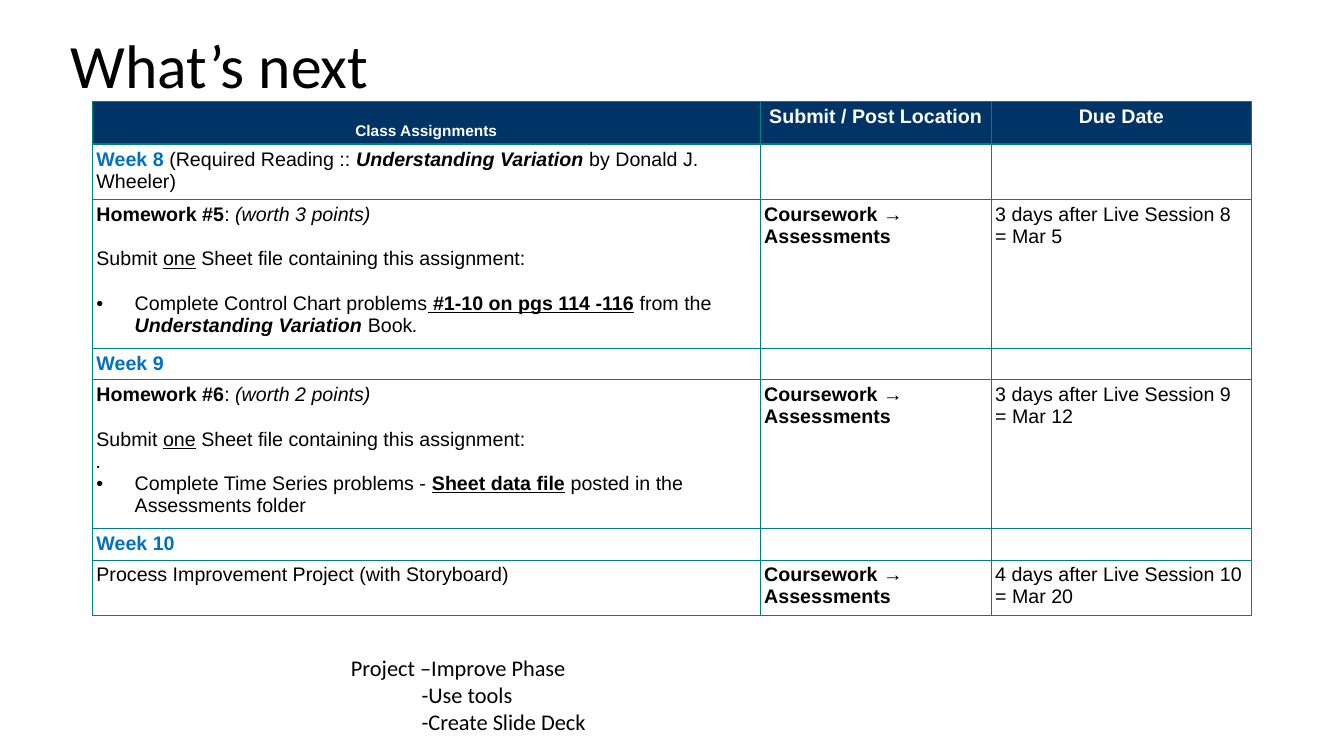
from lxml.etree import SubElement
from pptx import Presentation
from pptx.dml.color import RGBColor
from pptx.enum.text import MSO_ANCHOR, PP_ALIGN
from pptx.oxml.ns import qn
from pptx.util import Inches, Pt

BLACK = RGBColor(0x00, 0x00, 0x00)
WHITE = RGBColor(0xFF, 0xFF, 0xFF)
NAVY = RGBColor(0x00, 0x33, 0x66)
BLUE = RGBColor(0x00, 0x70, 0xC0)
TEAL = RGBColor(0x00, 0x80, 0x80)

GRID_COLUMNS, GRID_ROWS = 160, 90
TABLE_LEFT = 11
TABLE_COLUMNS = (79.5, 27.5, 31)
HEADING = {"bold": True, "color": WHITE}
WEEK = {"bold": True, "color": BLUE}
BOLD = {"bold": True}
ITALIC = {"italic": True}
UNDERLINE = {"underline": True}
TITLE = BOLD | ITALIC
KEY = BOLD | UNDERLINE
GAP = {"space_before": Pt(16)}
CENTER = {"alignment": PP_ALIGN.CENTER}
BULLET = {"left": 0.38, "hang": -0.38, "bullet": "•"}


class SlideBuilder:
    def __init__(self, prs, font, size):
        self.slide = prs.slides.add_slide(prs.slide_layouts[6])
        self.column = prs.slide_width / GRID_COLUMNS
        self.row = prs.slide_height / GRID_ROWS
        self.font = font
        self.size = size

    def box(self, left, top, width, height):
        return (round(left * self.column), round(top * self.row),
                round(width * self.column), round(height * self.row))

    def paragraph(self, p, runs, layout, base):
        layout = dict(layout)
        left, hang = layout.pop("left", 0), layout.pop("hang", 0)
        bullet = layout.pop("bullet", None)
        for name, value in layout.items():
            setattr(p, name, value)
        if left:
            pPr = p._p.get_or_add_pPr()
            pPr.set("marL", str(Inches(left)))
            pPr.set("indent", str(Inches(hang)))
            if bullet:
                SubElement(pPr, qn("a:buFont")).set("typeface", "Arial")
                SubElement(pPr, qn("a:buChar")).set("char", bullet)
        for text, style in runs:
            r = p.add_run()
            r.text = text
            values = base | style
            r.font.color.rgb = values.pop("color", BLACK)
            for name, value in values.items():
                setattr(r.font, name, value)

    def paragraphs(self, tf, content, base):
        for i, (runs, layout) in enumerate(content):
            p = tf.add_paragraph() if i else tf.paragraphs[0]
            self.paragraph(p, runs, layout, base)

    def text(self, area, content, size, anchor=MSO_ANCHOR.TOP):
        tf = self.slide.shapes.add_textbox(*self.box(*area)).text_frame
        tf.word_wrap = True
        tf.vertical_anchor = anchor
        self.paragraphs(tf, content, {"name": "Calibri", "size": Pt(size)})

    def cell(self, cell, content, fill):
        for side in ("left", "top", "right", "bottom"):
            setattr(cell, f"margin_{side}", Inches(0.04))
        tcPr = cell._tc.get_or_add_tcPr()
        for edge in ("lnL", "lnR", "lnT", "lnB"):
            ln = SubElement(tcPr, qn(f"a:{edge}"), w=str(Pt(1)))
            color = SubElement(SubElement(ln, qn("a:solidFill")), qn("a:srgbClr"))
            color.set("val", str(TEAL))
        if fill is None:
            cell.fill.background()
        else:
            cell.fill.solid()
            cell.fill.fore_color.rgb = fill
        if content:
            base = {"name": self.font, "size": Pt(self.size)}
            self.paragraphs(cell.text_frame, content, base)
        else:
            p = cell.text_frame.paragraphs[0]
            SubElement(p._p, qn("a:endParaRPr"), sz=str(self.size * 100))

    def table(self, top, heights, rows, fill=None):
        area = self.box(TABLE_LEFT, top, sum(TABLE_COLUMNS), sum(heights))
        table = self.slide.shapes.add_table(len(rows), len(TABLE_COLUMNS), *area).table
        table.first_row = table.horz_banding = False
        for column, width in zip(table.columns, TABLE_COLUMNS):
            column.width = round(width * self.column)
        for i, (row, height) in enumerate(zip(rows, heights)):
            table.rows[i].height = round(height * self.row)
            for j, content in enumerate(row):
                self.cell(table.cell(i, j), content, fill)
        return table


def line(text, style={}, layout={}):
    return [([(text, style)], layout)]


def week(number, *extra):
    return [[([(f"Week {number}", WEEK), *extra], {})], None, None]


def task(content, due):
    return [content, line("Coursework → Assessments", BOLD), line(due)]


def homework(number, points, *rest):
    return [
        ([(f"Homework #{number}", BOLD), (": ", {}), (f"(worth {points} points)", ITALIC)], {}),
        ([("Submit ", {}), ("one", UNDERLINE),
          (" Sheet file containing this assignment:", {})], GAP),
        *rest,
    ]


def main():
    prs = Presentation()
    prs.slide_width, prs.slide_height = Inches(13.33), Inches(7.5)
    s = SlideBuilder(prs, "Arial", 14)

    s.text((7.2, -0.6, 138, 17.4), line("What’s next", layout={"line_spacing": 0.9}),
           44, MSO_ANCHOR.MIDDLE)
    s.text((40.6, 77.3, 40.7, 11.3),
           line("Project –Improve Phase")
           + line("-Use tools", layout={"left": 0.7})
           + line("-Create Slide Deck", layout={"left": 0.7}), 16)

    header = s.table(12.1, [5], [[
        line("Class Assignments", HEADING | {"size": Pt(11)}, CENTER),
        line("Submit / Post Location", HEADING, CENTER),
        line("Due Date", HEADING, CENTER),
    ]], NAVY)
    header.cell(0, 0).vertical_anchor = MSO_ANCHOR.BOTTOM

    control_charts = ([
        ("Complete Control Chart problems", {}), (" #1-10 on pgs 114 -116", KEY),
        (" from the ", {}), ("Understanding Variation ", TITLE),
        ("Book", {}), (".", ITALIC)], BULLET | GAP)
    time_series = ([
        ("Complete Time Series problems - ", {}), ("Sheet data file", KEY),
        (" posted in the Assessments folder", {})], BULLET)
    s.table(17.2, [6.45, 17.7, 3.65, 17.7, 3.65, 6.45], [
        week(8, (" (Required Reading :: ", {}), ("Understanding Variation", TITLE),
             (" by Donald J. Wheeler)", {})),
        task(homework(5, 3, control_charts), "3 days after Live Session 8 = Mar 5"),
        week(9),
        task(homework(6, 2, *line(".", ITALIC), time_series),
             "3 days after Live Session 9 = Mar 12"),
        week(10),
        task(line("Process Improvement Project (with Storyboard)"),
             "4 days after Live Session 10 = Mar 20"),
    ])
    prs.save("out.pptx")


if __name__ == "__main__":
    main()
